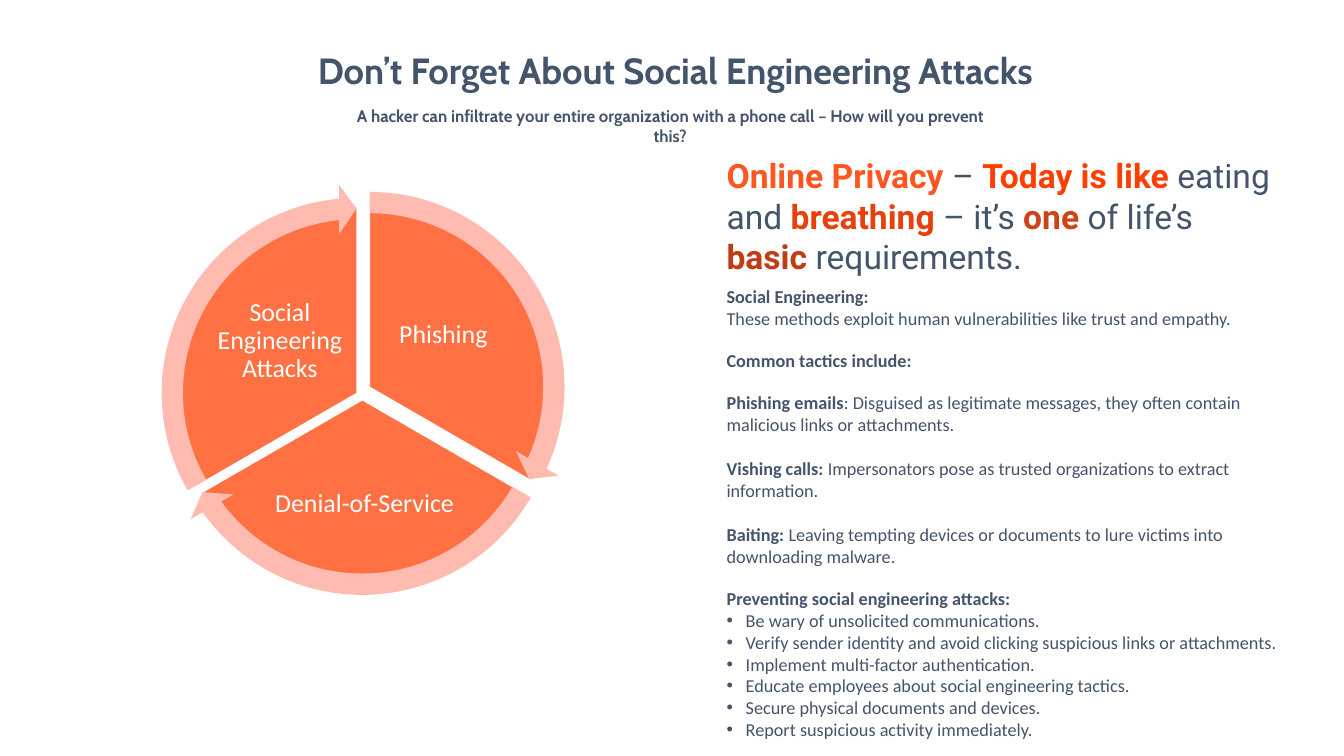
from pptx import Presentation
from pptx.dml.color import RGBColor
from pptx.enum.shapes import MSO_SHAPE as Shape
from pptx.enum.text import MSO_ANCHOR as Anchor, MSO_AUTO_SIZE as AutoSize, PP_ALIGN as Align
from pptx.oxml import parse_xml
from pptx.oxml.ns import nsdecls
from pptx.util import Pt

EMU_PER_PX = 9144  # 100 px to the inch
SLATE, ORANGE, PINK, WHITE = "44546A", "FF7043", "FFBBB0", "FFFFFF"


def px(length):
    return length * EMU_PER_PX


def rgb(code):
    return RGBColor.from_string(code)


class SlideBuilder:
    def __init__(self, slide):
        self.slide = slide

    def style_run(self, run, font_name, size, color, bold=False):
        """A tuple of three colours gives a radial gradient."""
        font = run.font
        font.name, font.size, font.bold = font_name, Pt(size), bold
        if isinstance(color, str):
            font.color.rgb = rgb(color)
            return
        stops = zip((0, 23, 69, 97), (color[0], *color))
        stop_xml = "".join(
            f'<a:gs pos="{pos * 1000}"><a:srgbClr val="{code}"/></a:gs>' for pos, code in stops)
        run._r.get_or_add_rPr().insert(0, parse_xml(
            f'<a:gradFill {nsdecls("a")}><a:gsLst>{stop_xml}</a:gsLst><a:path path="circle">'
            '<a:fillToRect l="50000" t="50000" r="50000" b="50000"/></a:path></a:gradFill>'))

    def title(self, text, box, font_name, size):
        heading = self.slide.shapes.title
        heading.left, heading.top, heading.width, heading.height = map(px, box)
        frame = heading.text_frame
        frame.text = text
        frame.vertical_anchor = Anchor.TOP
        frame.paragraphs[0].alignment = Align.CENTER
        self.style_run(frame.paragraphs[0].runs[0], font_name, size, SLATE, True)

    def text_frame(self, box):
        frame = self.slide.shapes.add_textbox(*map(px, box)).text_frame
        frame.word_wrap = True
        return frame

    def centred(self, text, box, font_name, size, color, bold=False):
        frame = self.text_frame(box)
        frame.text = text
        line = frame.paragraphs[0]
        line.alignment = Align.CENTER
        self.style_run(line.runs[0], font_name, size, color, bold)
        return frame

    def label(self, text, box):
        frame = self.centred(text, box, "Calibri", 37, WHITE)
        frame.vertical_anchor = Anchor.MIDDLE
        frame.margin_left = frame.margin_right = frame.margin_top = frame.margin_bottom = px(5)
        frame.paragraphs[0].line_spacing = 0.9

    def rich_text(self, box, paragraphs, font_name, size):
        """Each paragraph is (space before, bulleted, [(text, bold, colour), ...])."""
        frame = self.text_frame(box)
        frame.auto_size = AutoSize.SHAPE_TO_FIT_TEXT
        for index, (gap, bulleted, parts) in enumerate(paragraphs):
            line = frame.add_paragraph() if index else frame.paragraphs[0]
            line.space_before = Pt(gap)
            if bulleted:
                props = line._p.get_or_add_pPr()
                props.set("marL", str(px(38)))
                props.set("indent", str(-px(38)))
                props.append(parse_xml(f'<a:buFont {nsdecls("a")} typeface="Arial"/>'))
                props.append(parse_xml(f'<a:buChar {nsdecls("a")} char="•"/>'))
            for text, bold, color in parts:
                run = line.add_run()
                run.text = text
                self.style_run(run, font_name, size, color, bold)

    def preset(self, kind, box, fill, adjustments, outline=None):
        shape = self.slide.shapes.add_shape(kind, *map(px, box))
        shape.shadow.inherit = False
        shape.fill.solid()
        shape.fill.fore_color.rgb = rgb(fill)
        if outline:
            shape.line.color.rgb = rgb(outline)
            shape.line.width = Pt(1)
        else:
            shape.line.fill.background()
        for index, value in enumerate(adjustments):
            shape.adjustments[index] = value


def main():
    deck = Presentation()
    deck.slide_width, deck.slide_height = px(2667), px(1500)
    builder = SlideBuilder(deck.slides.add_slide(deck.slide_layouts[5]))

    # Heading
    builder.title("Don’t Forget About Social Engineering Attacks", (514, 91, 1652, 98), "Cabin", 52)
    builder.centred(
        "A hacker can infiltrate your entire organization with a phone call"
        " – How will you prevent this?", (697, 205, 1266, 50), "Cabin", 24, SLATE, True)

    # Privacy statement: highlighted words alternate with plain ones
    statement = [
        ("Online Privacy", ("FF5520", "F23A00", "E13600"), " – "),
        ("Today is like", ("FF3F02", "D93400", "CA3100"), " eating and "),
        ("breathing", ("E8400B", "C4360A", "B73209"), " – it’s "),
        ("one", ("CD4216", "AC3713", "A13411"), " of life’s "),
        ("basic", ("C03C13", "A23210", "972F0F"), " requirements."),
    ]
    parts = []
    for strong, gradient, plain in statement:
        parts += [(strong, True, gradient), (plain, False, SLATE)]
    builder.rich_text((1432, 303, 1106, 252), [(0, False, parts)], "Roboto", 48)

    # Tactics and prevention: (space before, bold lead, plain rest)
    tactics = [
        (0, "Social Engineering:", ""),
        (0, "", "These methods exploit human vulnerabilities like trust and empathy."),
        (29, "Common tactics include:", ""),
        (29, "Phishing emails", ": Disguised as legitimate messages, they often contain "
                                "malicious links or attachments."),
        (32, "Vishing calls: ", "Impersonators pose as trusted organizations to extract "
                                "information."),
        (32, "Baiting: ", "Leaving tempting devices or documents to lure victims into "
                          "downloading malware."),
        (29, "Preventing social engineering attacks:", ""),
    ]
    precautions = [
        "Be wary of unsolicited communications.",
        "Verify sender identity and avoid clicking suspicious links or attachments.",
        "Implement multi-factor authentication.",
        "Educate employees about social engineering tactics.",
        "Secure physical documents and devices.",
        "Report suspicious activity immediately.",
    ]
    advice = [
        (gap, False, [(text, bold, SLATE) for text, bold in ((lead, True), (rest, False)) if text])
        for gap, lead, rest in tactics]
    advice += [(0, True, [(text, False, SLATE)]) for text in precautions]
    builder.rich_text((1432, 561, 1180, 959), advice, "Calibri", 26)

    # Attack cycle: (label, label box, sector corner, start and end angle)
    sector_size, ring = 738, 46
    sectors = [
        ("Phishing ", (754, 555, 263, 220), (365, 399), 162, 18),
        ("Denial-of-Service", (526, 904, 395, 193), (350, 425), 18, 90),
        ("Social Engineering Attacks", (424, 567, 263, 220), (339, 411), 90, 162),
    ]
    for name, label_box, corner, start, end in sectors:
        builder.preset(Shape.PIE, (*corner, sector_size, sector_size), ORANGE, (start, end), WHITE)
        builder.label(name, label_box)

    # Arrows around the sectors, each ending one head short of its sector
    arrow_size, head = 829, 3.275
    for _, _, (left, top), start, end in sectors:
        builder.preset(Shape.CIRCULAR_ARROW, (left - ring, top - ring, arrow_size, arrow_size),
                       PINK, (0.051, head, end - head, start, 0.059))

    deck.save("out.pptx")


if __name__ == "__main__":
    main()
